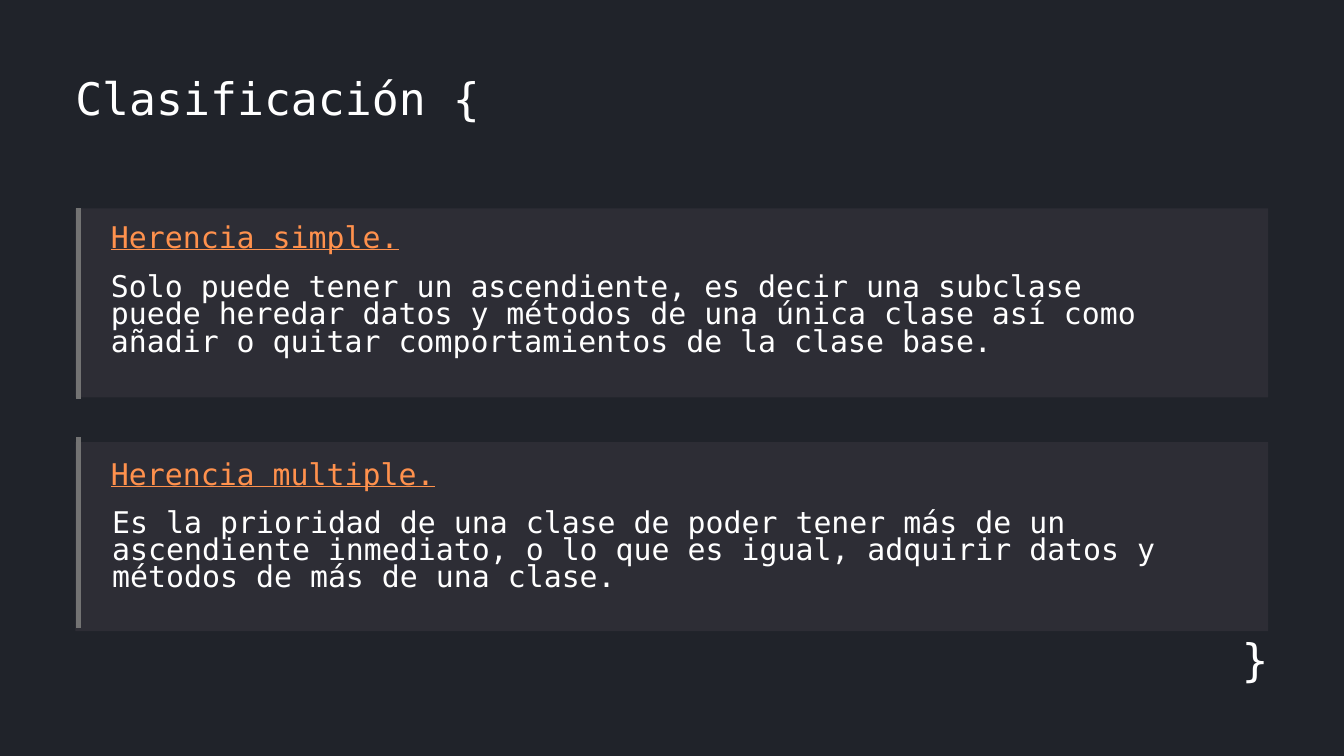
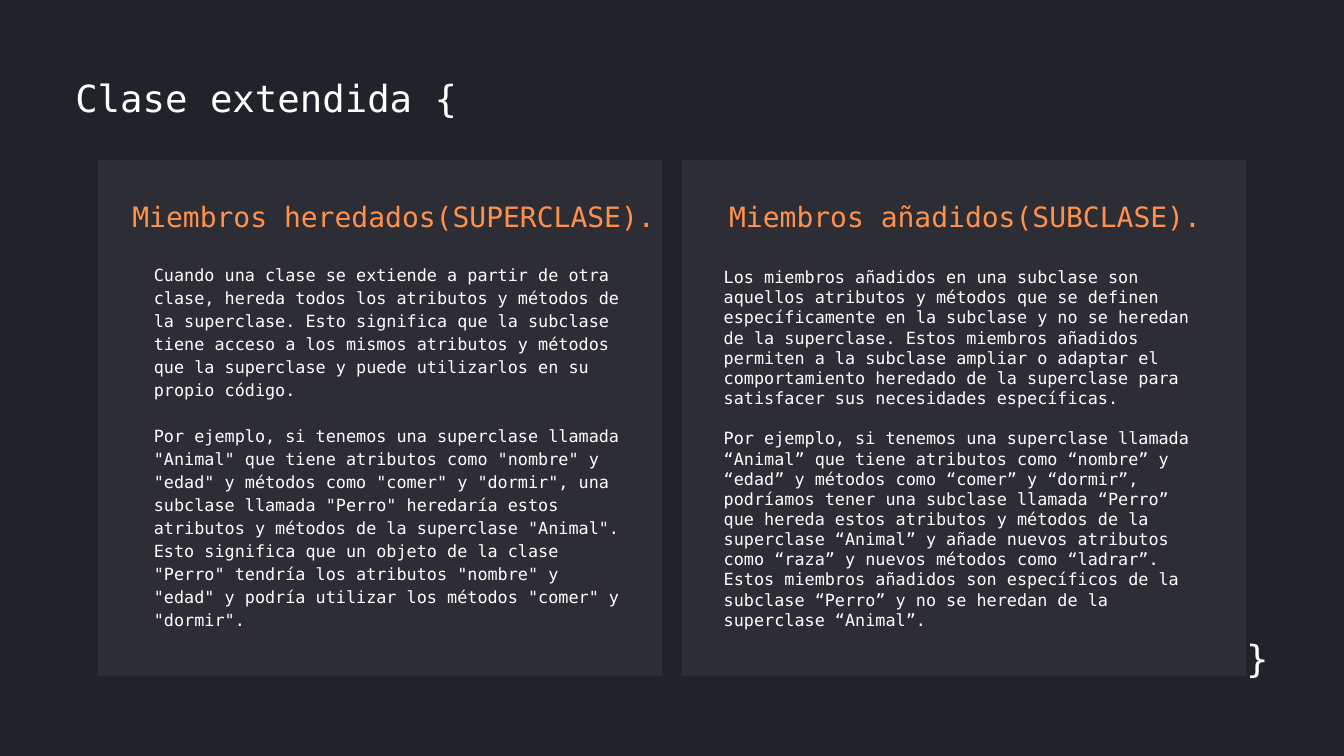
from lxml import etree
from pptx import Presentation
from pptx.dml.color import RGBColor
from pptx.enum.shapes import MSO_CONNECTOR, MSO_SHAPE
from pptx.enum.text import MSO_ANCHOR, MSO_AUTO_SIZE, PP_ALIGN
from pptx.oxml.ns import qn
from pptx.util import Inches, Pt

LINE = MSO_CONNECTOR.STRAIGHT
RECT = MSO_SHAPE.RECTANGLE
TOP = MSO_ANCHOR.TOP
FIXED = MSO_AUTO_SIZE.NONE
LEFT, RIGHT = PP_ALIGN.LEFT, PP_ALIGN.RIGHT

WIDTH, HEIGHT = Inches(20), Inches(11.25)
FONT = "DejaVu Sans Mono"
COLORS = {
    "back": "20232A",
    "card": "2D2D35",
    "bar": "737373",
    "head": "FF914D",
    "text": "FFFFFF",
}
TITLE_ONLY = 5
MARGIN = 5.6
BRACE_DROP = 74.14

KINDS = [
    ("Herencia simple.",
     "Solo puede tener un ascendiente, es decir una subclase puede heredar "
     "datos y métodos de una única clase así como añadir o quitar "
     "comportamientos de la clase base."),
    ("Herencia multiple.",
     "Es la prioridad de una clase de poder tener más de un ascendiente "
     "inmediato, o lo que es igual, adquirir datos y métodos de más de una "
     "clase."),
]
PARENT = [
    "Cuando una clase se extiende a partir de otra clase, hereda todos los "
    "atributos y métodos de la superclase. Esto significa que la subclase "
    "tiene acceso a los mismos atributos y métodos que la superclase y puede "
    "utilizarlos en su propio código.",
    'Por ejemplo, si tenemos una superclase llamada "Animal" que tiene '
    'atributos como "nombre" y "edad" y métodos como "comer" y "dormir", una '
    'subclase llamada "Perro" heredaría estos atributos y métodos de la '
    'superclase "Animal". Esto significa que un objeto de la clase "Perro" '
    'tendría los atributos "nombre" y "edad" y podría utilizar los métodos '
    '"comer" y "dormir".',
]
CHILD = [
    "Los miembros añadidos en una subclase son aquellos atributos y métodos "
    "que se definen específicamente en la subclase y no se heredan de la "
    "superclase. Estos miembros añadidos permiten a la subclase ampliar o "
    "adaptar el comportamiento heredado de la superclase para satisfacer sus "
    "necesidades específicas.",
    "Por ejemplo, si tenemos una superclase llamada “Animal” que tiene "
    "atributos como “nombre” y “edad” y métodos como “comer” y “dormir”, "
    "podríamos tener una subclase llamada “Perro” que hereda estos atributos "
    "y métodos de la superclase “Animal” y añade nuevos atributos como “raza” "
    "y nuevos métodos como “ladrar”. Estos miembros añadidos son específicos "
    "de la subclase “Perro” y no se heredan de la superclase “Animal”.",
]


def color(name):
    return RGBColor.from_string(COLORS[name])


def place(x, y, w, h):
    return [int(n) for n in (WIDTH * x / 100, HEIGHT * y / 100,
                             WIDTH * w / 100, HEIGHT * h / 100)]


def write(shape, lines, size, tone="text", pitch=None, gap=0, align=LEFT,
          under=None):
    frame = shape.text_frame
    frame.text = "\n".join(lines)
    frame.word_wrap = True
    frame.auto_size = FIXED
    frame.vertical_anchor = TOP
    frame.margin_left = frame.margin_right = 0
    frame.margin_top = frame.margin_bottom = 0
    for para in frame.paragraphs:
        para.alignment = align
        para.space_before = Pt(0)
        para.space_after = Pt(0)
        if pitch:
            para.line_spacing = Pt(pitch)
        for run in para.runs:
            run.font.name = FONT
            run.font.size = Pt(size)
            run.font.color.rgb = color(tone)
            run.font.underline = under
    for para in frame.paragraphs[1:]:
        para.space_before = Pt(gap)


def add_text(slide, box, lines, size, **style):
    write(slide.shapes.add_textbox(*place(*box)), lines, size, **style)


def add_card(slide, *box):
    card = slide.shapes.add_shape(RECT, *place(*box))
    card.shadow.inherit = False
    card.fill.solid()
    card.fill.fore_color.rgb = color("card")
    card.line.fill.background()


def add_bar(slide, x, y, h):
    left, top, _, tall = place(x, y, 0, h)
    bar = slide.shapes.add_connector(LINE, left, top, left, top + tall)
    bar.line.color.rgb = color("bar")
    bar.line.width = Pt(6)
    etree.SubElement(bar._element.spPr, qn("a:effectLst"))


def add_slide(deck, title, size, y):
    slide = deck.slides.add_slide(deck.slide_layouts[TITLE_ONLY])
    head = slide.shapes.title
    head.left, head.top, head.width, head.height = place(MARGIN, y, 38.45, 6.3)
    write(head, [title], size, pitch=45.6)
    return slide


def add_brace(slide, size, y):
    add_text(slide, (90.55, y + BRACE_DROP, 3.85, 6.3), ["}"], size,
             pitch=45.6, align=RIGHT)


def add_kinds(deck):
    size, y = 48, 10.84
    slide = add_slide(deck, "Clasificación {", size, y)
    for row, (name, text) in enumerate(KINDS):
        add_card(slide, MARGIN, 27.56 + row * 30.93, 88.75, 25)
        add_bar(slide, 5.85, 27.56 + row * 30.31, 25.24)
        add_text(slide, (8.25, 30.04 + row * 31.38, 78.45, 3.9), [name], 32,
                 tone="head", pitch=29, under=True)
        add_text(slide, (8.25 + row * 0.1, 36.62 + row * 31.11, 78.45, 11.1),
                 [text], 32, pitch=29)
    add_brace(slide, size, y)


def add_members(deck):
    size, y = 40, 10.22
    slide = add_slide(deck, "Clase extendida {", size, y)
    cards = [
        ("Miembros heredados(SUPERCLASE).", (9.85, 26.4, 40.75, 4.44),
         PARENT, (11.45, 34.58, 35.2, 49.87), 24.7, 24.7),
        ("Miembros añadidos(SUBCLASE).", (54.25, 26.4, 35.9, 4.44),
         CHILD, (53.85, 35.29, 35.9, 54.67), None, 21.6),
    ]
    for col, (name, top, text, body, pitch, gap) in enumerate(cards):
        add_card(slide, 7.3 + col * 43.45, 21.16, 41.95, 68.27)
        add_text(slide, top, [name], 30, tone="head", pitch=35.7)
        add_text(slide, body, text, 18, pitch=pitch, gap=gap)
    add_brace(slide, size, y)


def main():
    deck = Presentation()
    deck.slide_width, deck.slide_height = WIDTH, HEIGHT
    fill = deck.slide_master.background.fill
    fill.solid()
    fill.fore_color.rgb = color("back")
    add_kinds(deck)
    add_members(deck)
    deck.save("out.pptx")


main()
